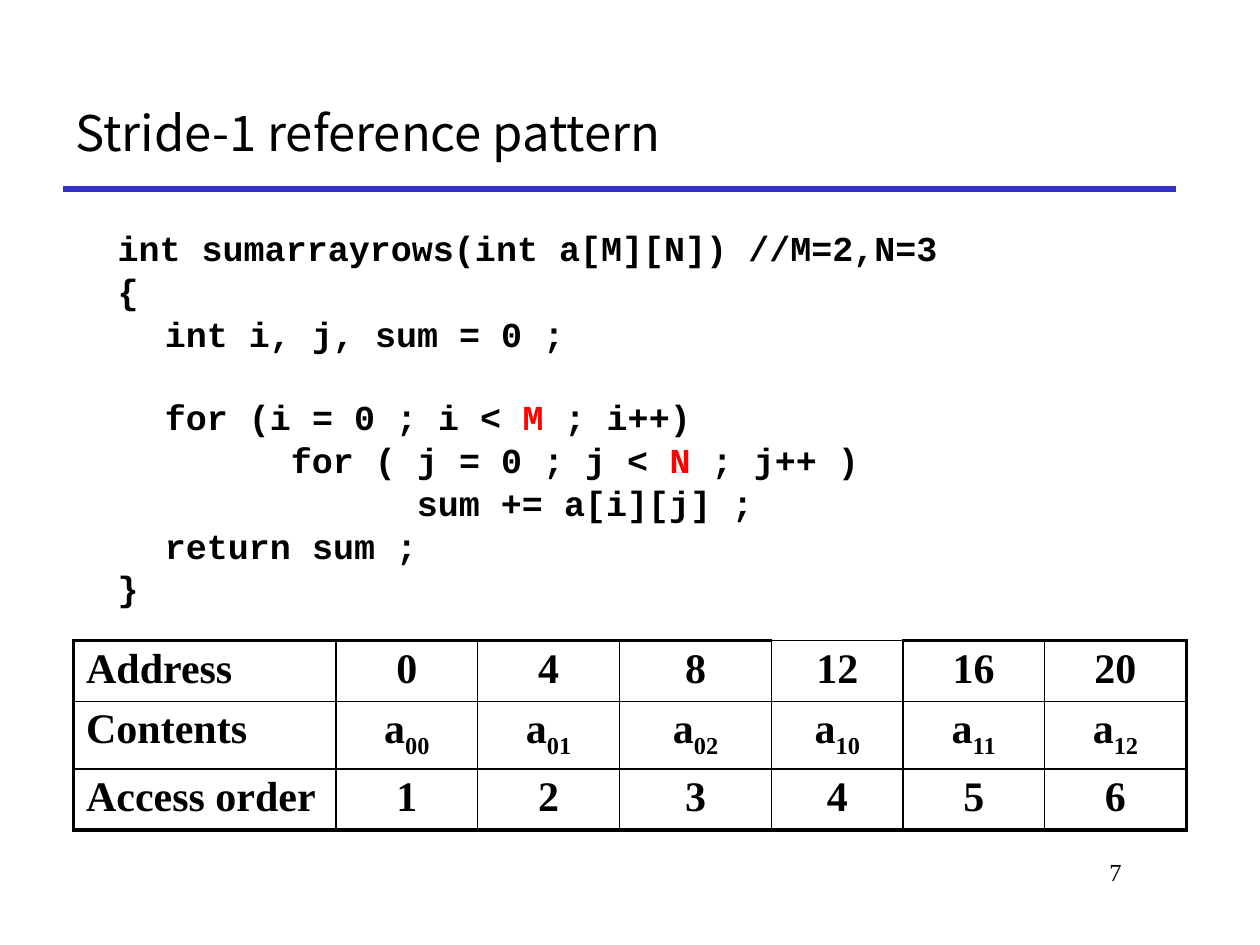
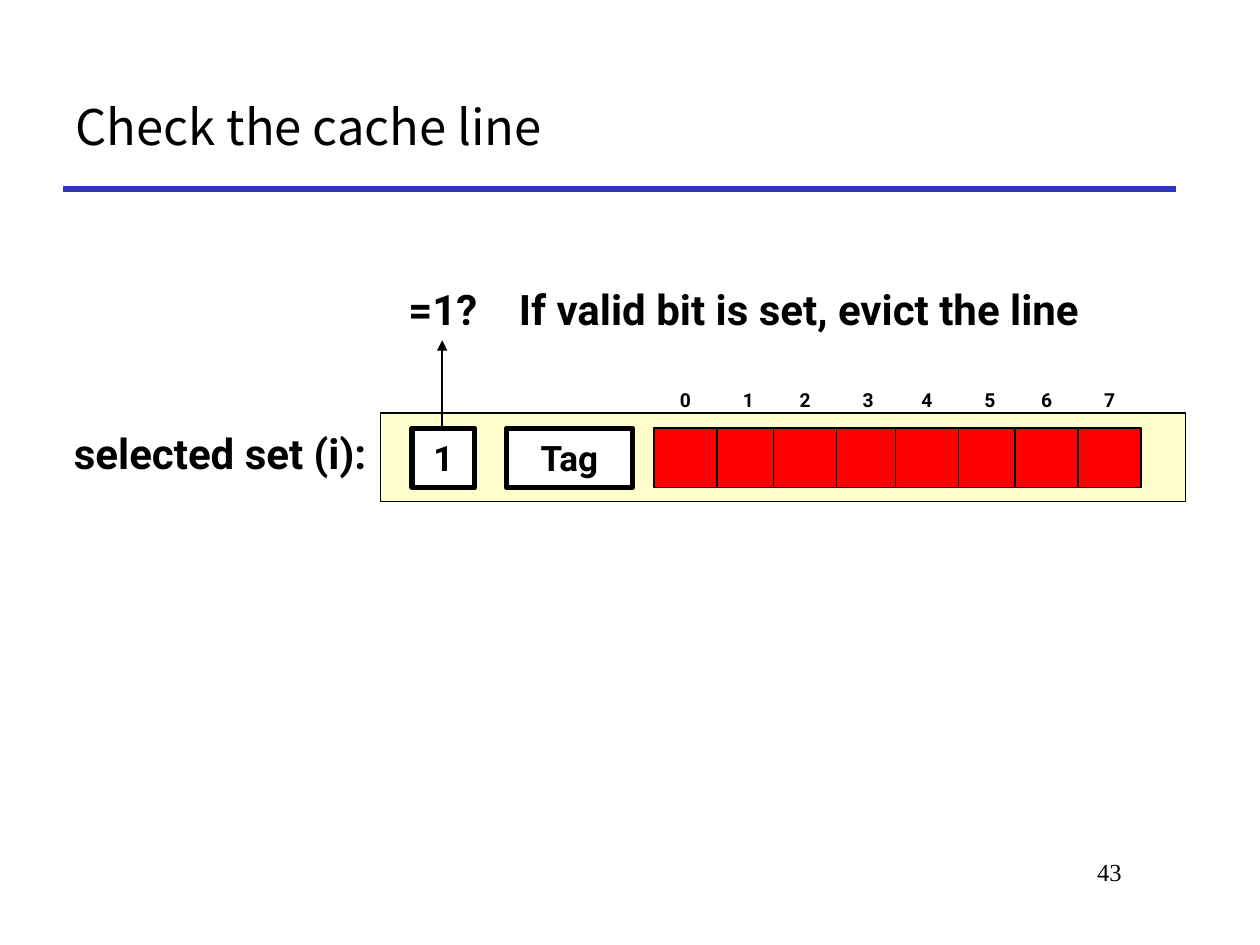
from lxml import etree
from pptx import Presentation
from pptx import util as u
from pptx.dml import color
from pptx.enum import shapes, text
from pptx.oxml import ns

Pt = u.Pt
BLACK, WHITE, BLUE, RED, CREAM = "000000", "FFFFFF", "3333CC", "FF0000", "FFFF99"
SERIF, SANS, HEAD, CODE = "Times New Roman", "Roboto", "Noto Sans CJK KR", "Courier New"
LEFT, MID, RIGHT = text.PP_ALIGN.LEFT, text.PP_ALIGN.CENTER, text.PP_ALIGN.RIGHT


def rgb(code):
    return color.RGBColor.from_string(code)


def sub(node, tag, **attrs):
    return etree.SubElement(node, ns.qn(tag), attrs)


class Deck:
    def __init__(self):
        self.prs = Presentation()
        self.prs.slide_width, self.prs.slide_height = Pt(720), Pt(540)

    def page(self, layout, title, num, lead=1.0):
        """Start a slide with its rule, number and title."""
        self.slide = self.prs.slides.add_slide(self.prs.slide_layouts[layout])
        self.line(36, 108, 672, 108, BLUE, 3)
        self.label(546, 486, 102, 36, num, 14, SERIF, RIGHT, bold=False,
                   anchor=text.MSO_ANCHOR.TOP)
        head = self.slide.shapes.title
        self.place(head, 36, 36, 636, 72)
        frame = head.text_frame
        frame.auto_size = text.MSO_AUTO_SIZE.NONE
        frame.vertical_anchor = text.MSO_ANCHOR.MIDDLE
        frame.text = title
        para = frame.paragraphs[0]
        para.alignment, para.line_spacing = LEFT, lead
        self.style(para.font, 28, HEAD, False)

    def place(self, shape, x, y, w, h):
        shape.left, shape.top, shape.width, shape.height = map(Pt, (x, y, w, h))

    def style(self, font, size, name, bold=True, ink=BLACK):
        font.size, font.name, font.bold = Pt(size), name, bold
        font.color.rgb = rgb(ink)

    def line(self, x1, y1, x2, y2, ink=BLACK, width=1, arrow=False):
        link = self.slide.shapes.add_connector(
            shapes.MSO_CONNECTOR.STRAIGHT, *map(Pt, (x1, y1, x2, y2)))
        link.line.color.rgb, link.line.width = rgb(ink), Pt(width)
        props = link._element.spPr
        if arrow:
            sub(props.find(ns.qn("a:ln")), "a:tailEnd", type="triangle")
        sub(props, "a:effectLst")

    def fill_text(self, shape, words, size, name, align, bold, anchor):
        frame = shape.text_frame
        frame.word_wrap, frame.vertical_anchor = True, anchor
        if align == MID:
            frame.margin_left = frame.margin_right = 0
        frame.text = words
        para = frame.paragraphs[0]
        para.alignment = align
        self.style(para.font, size, name, bold)

    def label(self, x, y, w, h, words, size, name=SANS, align=MID, bold=True,
              anchor=text.MSO_ANCHOR.MIDDLE):
        box = self.slide.shapes.add_textbox(*map(Pt, (x, y, w, h)))
        self.fill_text(box, words, size, name, align, bold, anchor)

    def box(self, x, y, w, h, fill, width=1, words="", alpha=None):
        rect = self.slide.shapes.add_shape(
            shapes.MSO_SHAPE.RECTANGLE, *map(Pt, (x, y, w, h)))
        rect.shadow.inherit = False
        rect.fill.solid()
        rect.fill.fore_color.rgb = rgb(fill)
        rect.line.color.rgb, rect.line.width = rgb(BLACK), Pt(width)
        if alpha:
            tone = rect._element.spPr.find(".//" + ns.qn("a:srgbClr"))
            sub(tone, "a:alpha", val=str(alpha * 1000))
        if words:
            self.fill_text(rect, words, 20, SANS, MID, True, text.MSO_ANCHOR.MIDDLE)

    def code(self, x, y, w, h, lines):
        """Fill the body; each line is depth, space before and its runs."""
        body = self.slide.placeholders[1]
        self.place(body, x, y, w, h)
        frame = body.text_frame
        frame.auto_size = text.MSO_AUTO_SIZE.NONE
        for i, (depth, gap, runs) in enumerate(lines):
            para = frame.add_paragraph() if i else frame.paragraphs[0]
            para.line_spacing = 0.8 if i else 1.0
            para.space_before = Pt(gap)
            self.style(para.font, 20, CODE)
            props = para._p.get_or_add_pPr()
            inset = 27 + 72 * (depth - 1) if depth else 0
            props.set("marL", str(Pt(inset)))
            props.set("indent", "0")
            props.insert_element_before(
                props.makeelement(ns.qn("a:buNone")), "a:tabLst", "a:defRPr", "a:extLst")
            for j, part in enumerate(runs):
                run = para.add_run()
                run.text = part
                self.style(run.font, 20, CODE, ink=RED if j % 2 else BLACK)

    def edge(self, cell, widths):
        props = cell._tc.get_or_add_tcPr()
        for side, width in zip("LRTB", widths):
            ln = sub(props, "a:ln" + side, w=str(Pt(width)))
            sub(sub(ln, "a:solidFill"), "a:srgbClr", val=BLACK)

    def table(self, x, y, cols, rows, data, thin):
        """Draw a grid with a heavy frame; thin is a column with a light top."""
        grid = self.slide.shapes.add_table(
            len(rows), len(cols), Pt(x), Pt(y), Pt(sum(cols)), Pt(sum(rows))).table
        grid.first_row = grid.horz_banding = False
        for col, width in zip(grid.columns, cols):
            col.width = Pt(width)
        for row, height in zip(grid.rows, rows):
            row.height = Pt(height)
        for r, line in enumerate(data):
            for c, words in enumerate(line):
                cell = grid.cell(r, c)
                heavy = (c == 0, c == len(cols) - 1, r == 0 and c != thin,
                         r == len(rows) - 1)
                self.edge(cell, [2.25 if flag else 1 for flag in heavy])
                cell.fill.background()
                cell.margin_top = cell.margin_bottom = Pt(3)
                para = cell.text_frame.paragraphs[0]
                para.alignment = MID if c else LEFT
                self.style(para.font, 24, SERIF)
                base, _, low = words.partition("_")
                for part in filter(None, (base, low)):
                    run = para.add_run()
                    run.text = part
                    self.style(run.font, 24, SERIF)
                    if part is low:
                        run._r.get_or_add_rPr().set("baseline", "-25000")


deck = Deck()

# Slide 1: code and memory layout
deck.page(1, "Stride-1 reference pattern", "7", 1.2)
GAP, SKIP = 5.2, 28.5
deck.code(60, 126, 630, 330, [
    (0, GAP, ["int sumarrayrows(int a[M][N]) //M=2,N=3"]),
    (0, GAP, ["{"]),
    (1, GAP, ["int i, j, sum = 0 ;"]),
    (1, SKIP, ["for (i = 0 ; i < ", "M", " ; i++)"]),
    (2, GAP, ["for ( j = 0 ; j < ", "N", " ; j++ )"]),
    (3, GAP, ["sum += a[i][j] ;"]),
    (1, GAP, ["return sum ;"]),
    (0, GAP, ["}"]),
])
cells = range(6)
deck.table(42, 366, [150, 81, 81, 87, 75, 81, 81], [33.6, 37.8, 33.6], [
    ["Address"] + [str(4 * i) for i in cells],
    ["Contents"] + [f"a_{i // 3}{i % 3}" for i in cells],
    ["Access order"] + [str(i + 1) for i in cells],
], thin=4)

# Slide 2: cache line with valid bit, tag and eight bytes
deck.page(5, "Check the cache line", "43")
TOP, HIGH = 244.8, 33.8
deck.box(217.5, 236.2, 460, 50.4, CREAM, alpha=50)
deck.box(235.4, TOP, 36, HIGH, WHITE, 3, "1")
deck.label(30.2, 240.5, 197.3, 36, "selected set (i): ", 24)
deck.line(252.7, TOP, 252.7, 194.4, arrow=True)
deck.label(224.6, 158, 56.9, 36.7, "=1?", 24)
deck.label(289.4, 158, 355.7, 36.7, "If valid bit is set, evict the line", 24, align=LEFT)
deck.box(289.4, TOP, 72, HIGH, WHITE, 3, "Tag")
STEPS = (0, 36, 68.4, 104.4)
for i in range(8):
    x = 373.7 + 138 * (i // 4) + STEPS[i % 4]
    deck.label(x, 211.7, 36, HIGH, str(i), 11)
    deck.box(x, TOP, 36, HIGH, RED)

deck.prs.save("out.pptx")
